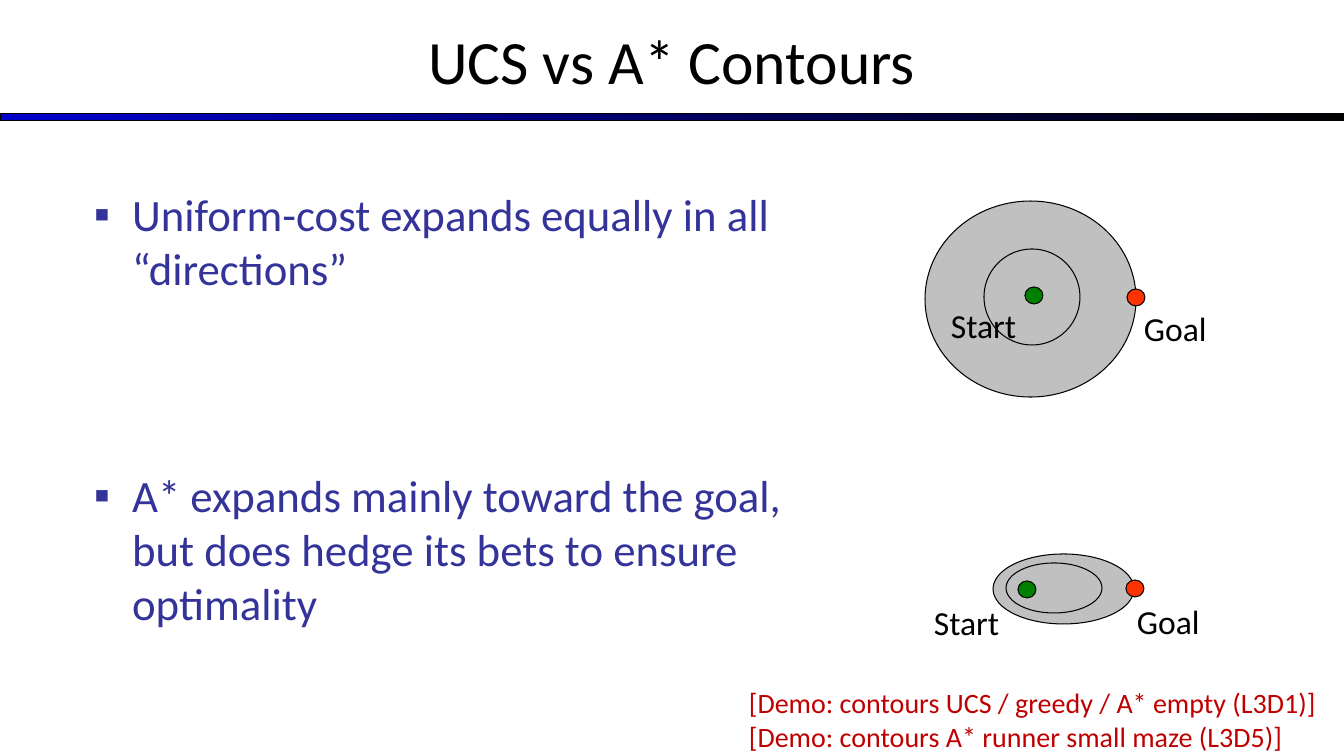
from dataclasses import dataclass

from lxml import etree
from pptx import Presentation
from pptx.dml.color import RGBColor
from pptx.enum.shapes import MSO_SHAPE
from pptx.enum.text import MSO_ANCHOR, MSO_AUTO_SIZE, PP_ALIGN
from pptx.oxml.ns import qn
from pptx.util import Emu, Pt

RECT, OVAL = MSO_SHAPE.RECTANGLE, MSO_SHAPE.OVAL
TOP, MIDDLE = MSO_ANCHOR.TOP, MSO_ANCHOR.MIDDLE
LEFT, CENTER = PP_ALIGN.LEFT, PP_ALIGN.CENTER
FIXED = MSO_AUTO_SIZE.NONE


@dataclass(frozen=True)
class Theme:
    font: str = "Calibri"
    ink: str = "000000"
    bar: str = "0000CC"
    body: str = "333399"
    demo: str = "C00000"
    area: str = "C0C0C0"
    start: str = "008000"
    goal: str = "FF3300"
    title_size: int = 44
    body_size: int = 32
    label_size: int = 24
    demo_size: int = 20
    line: float = 0.75


THEME = Theme()

TITLE = "UCS vs A* Contours"
POINTS = [
    "Uniform-cost expands equally in all “directions”",
    "A* expands mainly toward the goal, but does hedge its bets to ensure optimality",
]
DEMOS = [
    "[Demo: contours UCS / greedy / A* empty (L3D1)]",
    "[Demo: contours A* runner small maze (L3D5)]",
]

# Boxes are (left, top, width, height); dots and labels are (left, top), in px
CONTOURS = [
    {
        "outer": (925, 201, 211, 196),
        "inner": (984, 249, 96, 96),
        "dots": [(1025, 287), (1127, 289)],
        "labels": [(941, 300), (1134, 303)],
    },
    {
        "outer": (993, 554, 141, 70),
        "inner": (1006, 563, 96, 50),
        "dots": [(1018, 581), (1126, 580)],
        "labels": [(924, 597), (1127, 596)],
    },
]
ENDS = [("Start", THEME.start), ("Goal", THEME.goal)]

WIDE, HIGH = 1344, 756
BAR_BOX = (0, 114, WIDE, 7)
TITLE_BOX = (0, -3, WIDE, 126)
BODY_BOX = (84, 182, 739, 499)
DEMO_BOX = (739, 681, 605, 78)
DOT = (18, 17)
LABEL = (101, 50)
HANG = 38
POINT_GAP = 124


def px(n):
    return Emu(round(n * 914400 / 100.8))


def rgb(code):
    return RGBColor.from_string(code)


def place(shape, box):
    shape.left, shape.top, shape.width, shape.height = map(px, box)


def draw(slide, kind, box, fill=None):
    shape = slide.shapes.add_shape(kind, *map(px, box))
    shape.shadow.inherit = False
    shape.line.color.rgb = rgb(THEME.ink)
    shape.line.width = Pt(THEME.line)
    if fill:
        shape.fill.solid()
        shape.fill.fore_color.rgb = rgb(fill)
    else:
        shape.fill.background()
    return shape


def write(shape, lines, size, color, align=LEFT, anchor=TOP, gap=0, bullet=None):
    frame = shape.text_frame
    frame.word_wrap = True
    frame.auto_size = FIXED
    frame.vertical_anchor = anchor
    for i, line in enumerate(lines):
        par = frame.add_paragraph() if i else frame.paragraphs[0]
        par.alignment = align
        par.space_before = Pt(gap if i else 0)
        if bullet:
            mark(par, bullet, color)
        run = par.add_run()
        run.text = line
        run.font.name = THEME.font
        run.font.size = Pt(size)
        run.font.color.rgb = rgb(color)


def mark(par, char, color):
    """Give a paragraph a hanging bullet."""
    props = par._p.get_or_add_pPr()
    props.set("marL", str(px(HANG)))
    props.set("indent", str(-px(HANG)))
    tint = etree.SubElement(props, qn("a:buClr"))
    etree.SubElement(tint, qn("a:srgbClr"), val=color)
    etree.SubElement(props, qn("a:buFont"), typeface=THEME.font)
    etree.SubElement(props, qn("a:buChar"), char=char)


def add_text(slide, box, lines, size, color):
    write(slide.shapes.add_textbox(*map(px, box)), lines, size, color)


def add_bar(slide):
    bar = draw(slide, RECT, BAR_BOX)
    bar.fill.gradient()
    bar.fill.gradient_angle = 0
    for stop, color in zip(bar.fill.gradient_stops, (THEME.bar, THEME.ink)):
        stop.color.rgb = rgb(color)


def add_contour(slide, plan):
    draw(slide, OVAL, plan["outer"], THEME.area)
    draw(slide, OVAL, plan["inner"])
    for (name, color), dot, label in zip(ENDS, plan["dots"], plan["labels"]):
        draw(slide, OVAL, dot + DOT, color)
        add_text(slide, label + LABEL, [name], THEME.label_size, THEME.ink)


def main():
    deck = Presentation()
    deck.slide_width, deck.slide_height = px(WIDE), px(HIGH)
    slide = deck.slides.add_slide(deck.slide_layouts[1])
    title, body = slide.placeholders
    place(title, TITLE_BOX)
    write(title, [TITLE], THEME.title_size, THEME.ink, CENTER, MIDDLE)
    place(body, BODY_BOX)
    write(body, POINTS, THEME.body_size, THEME.body, gap=POINT_GAP, bullet="▪")
    add_bar(slide)
    for plan in CONTOURS:
        add_contour(slide, plan)
    add_text(slide, DEMO_BOX, DEMOS, THEME.demo_size, THEME.demo)
    deck.save("out.pptx")


if __name__ == "__main__":
    main()
